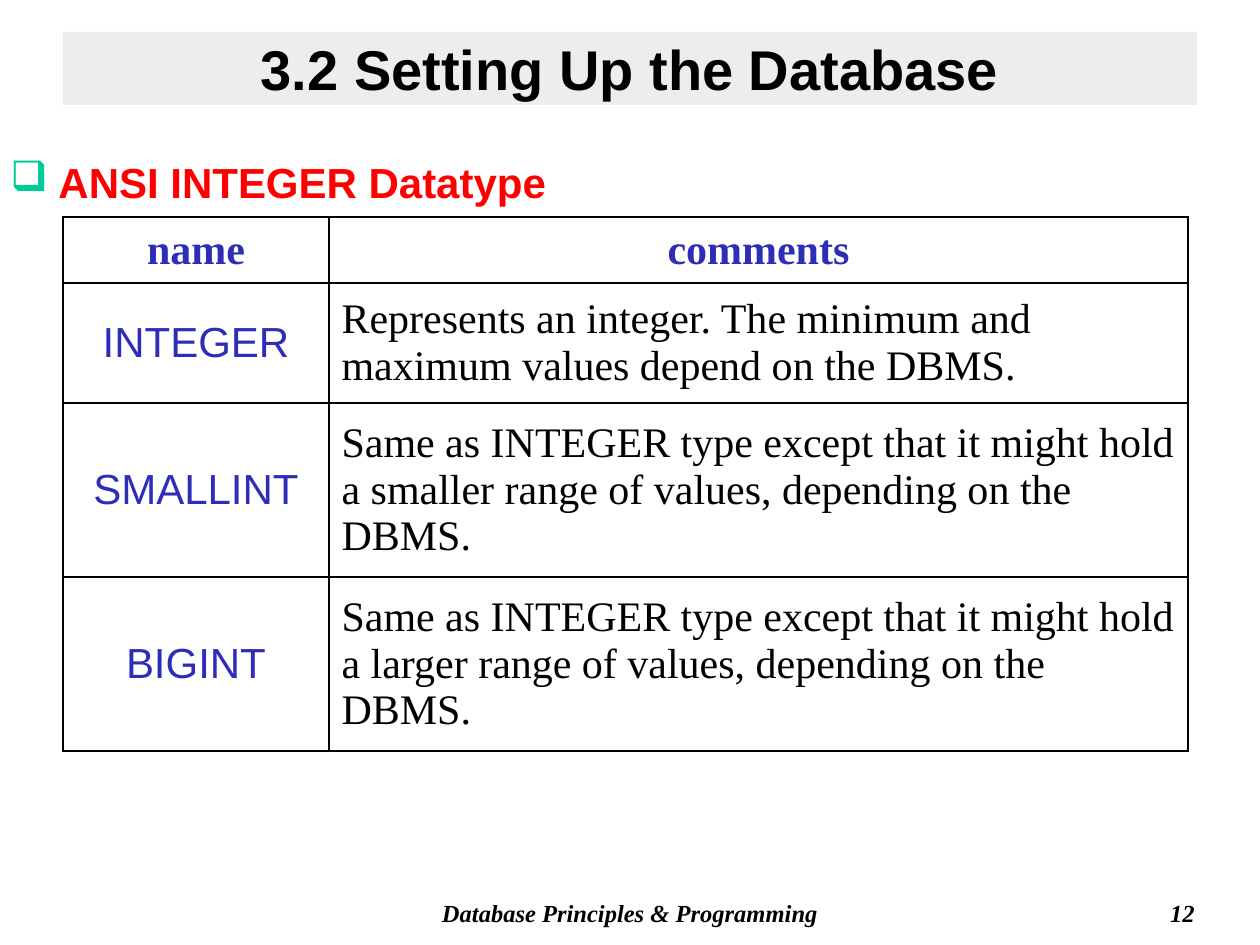
from dataclasses import dataclass

from lxml import etree
from pptx import Presentation
from pptx import util as u
from pptx.dml import color
from pptx.enum import shapes, text
from pptx.oxml import ns

PX = 914400 / 126
COLORS = {"ink": "000000", "panel": "DDDDDD", "heading": "FF0000",
          "bullet": "00CC99", "label": "2D2DB7"}
SANS, SERIF = "Arial", "Times New Roman"
LEFT, CENTER, RIGHT = (text.PP_ALIGN.LEFT, text.PP_ALIGN.CENTER,
                       text.PP_ALIGN.RIGHT)


@dataclass(frozen=True)
class Style:
    font: str
    size: int
    color: str = "ink"
    bold: bool = False
    italic: bool = False
    align: text.PP_ALIGN = LEFT


@dataclass(frozen=True)
class Label:
    words: str
    left: int
    top: int
    width: int
    height: int
    style: Style


@dataclass(frozen=True)
class Row:
    height: int
    name: str
    comment: str


FOOTER = Style(SERIF, 14, bold=True, italic=True, align=CENTER)
NUMBER = Style(SERIF, 14, bold=True, italic=True, align=RIGHT)
TITLE = Style(SANS, 32, bold=True, align=CENTER)
HEADING = Style(SANS, 24, "heading", bold=True)
HEADER = Style(SERIF, 24, "label", bold=True, align=CENTER)
NAME = Style(SANS, 24, "label", align=CENTER)
COMMENT = Style(SERIF, 24)

FOOTERS = [
    Label("Database Principles & Programming", 357, 892, 546, 42, FOOTER),
    Label("12", 945, 892, 262, 42, NUMBER),
]
TITLE_LABEL = Label("3.2 Setting Up the Database", 63, 32, 1134, 73, TITLE)
HEADING_LABEL = Label("ANSI INTEGER Datatype", -2, 136, 1268, 73, HEADING)
COLUMNS = [266, 859]
ROWS = [
    Row(66, "name", "comments"),
    Row(120, "INTEGER", "Represents an integer. The minimum and maximum "
        "values depend on the DBMS."),
    Row(174, "SMALLINT", "Same as INTEGER type except that it might hold "
        "a smaller range of values, depending on the DBMS."),
    Row(174, "BIGINT", "Same as INTEGER type except that it might hold "
        "a larger range of values, depending on the DBMS."),
]


def px(length: int) -> u.Emu:
    return u.Emu(round(length * PX))


def rgb(name: str) -> color.RGBColor:
    return color.RGBColor.from_string(COLORS[name])


def frame(label: Label) -> list[u.Emu]:
    return [px(n) for n in (label.left, label.top, label.width, label.height)]


def add_text(para, words: str, style: Style) -> None:
    para.alignment = style.align
    span = para.add_run()
    span.text = words
    span.font.name = style.font
    span.font.size = u.Pt(style.size)
    span.font.bold = style.bold
    span.font.italic = style.italic
    span.font.color.rgb = rgb(style.color)


def add_label(page, label: Label):
    box = page.shapes.add_textbox(*frame(label))
    box.text_frame.word_wrap = True
    add_text(box.text_frame.paragraphs[0], label.words, label.style)
    return box


def add_title(page, label: Label) -> None:
    panel = page.shapes.add_shape(shapes.MSO_SHAPE.RECTANGLE, *frame(label))
    panel.shadow.inherit = False
    panel.line.fill.background()
    panel.fill.solid()
    panel.fill.fore_color.rgb = rgb("panel")
    tint = panel.fill._xPr.find(".//" + ns.qn("a:srgbClr"))
    etree.SubElement(tint, ns.qn("a:alpha"), val="50000")
    panel.text_frame.word_wrap = True
    panel.text_frame.vertical_anchor = text.MSO_ANCHOR.MIDDLE
    add_text(panel.text_frame.paragraphs[0], label.words, label.style)


def add_heading(page, label: Label) -> None:
    box = add_label(page, label)
    box.text_frame.margin_top = px(10)
    para = box.text_frame.paragraphs[0]
    para.line_spacing = 1.2
    props = para._p.get_or_add_pPr()
    props.set("marL", str(px(48)))
    props.set("indent", str(px(-48)))
    tint = etree.SubElement(props, ns.qn("a:buClr"))
    etree.SubElement(tint, ns.qn("a:srgbClr"), val=COLORS["bullet"])
    etree.SubElement(props, ns.qn("a:buChar"), char="❑")


def add_borders(cell) -> None:
    props = cell._tc.get_or_add_tcPr()
    for index, side in enumerate(("lnL", "lnR", "lnT", "lnB")):
        line = etree.Element(ns.qn("a:" + side), w=str(u.Pt(1)))
        fill = etree.SubElement(line, ns.qn("a:solidFill"))
        etree.SubElement(fill, ns.qn("a:srgbClr"), val=COLORS["ink"])
        props.insert(index, line)


def add_datatypes(page, left: int, top: int) -> None:
    height = sum(row.height for row in ROWS)
    table = page.shapes.add_table(
        len(ROWS), len(COLUMNS), px(left), px(top),
        px(sum(COLUMNS)), px(height)).table
    table.first_row = table.horz_banding = False
    for column, width in zip(table.columns, COLUMNS):
        column.width = px(width)
    for index, row in enumerate(ROWS):
        table.rows[index].height = px(row.height)
        styles = (NAME, COMMENT) if index else (HEADER, HEADER)
        for cell, words, style in zip(
                table.rows[index].cells, (row.name, row.comment), styles):
            cell.fill.background()
            cell.vertical_anchor = text.MSO_ANCHOR.MIDDLE
            add_borders(cell)
            add_text(cell.text_frame.paragraphs[0], words, style)


def main() -> None:
    deck = Presentation()
    deck.slide_width, deck.slide_height = px(1260), px(945)
    page = deck.slides.add_slide(deck.slide_layouts[6])
    for label in FOOTERS:
        add_label(page, label)
    add_title(page, TITLE_LABEL)
    add_heading(page, HEADING_LABEL)
    add_datatypes(page, 63, 217)
    deck.save("out.pptx")


if __name__ == "__main__":
    main()
